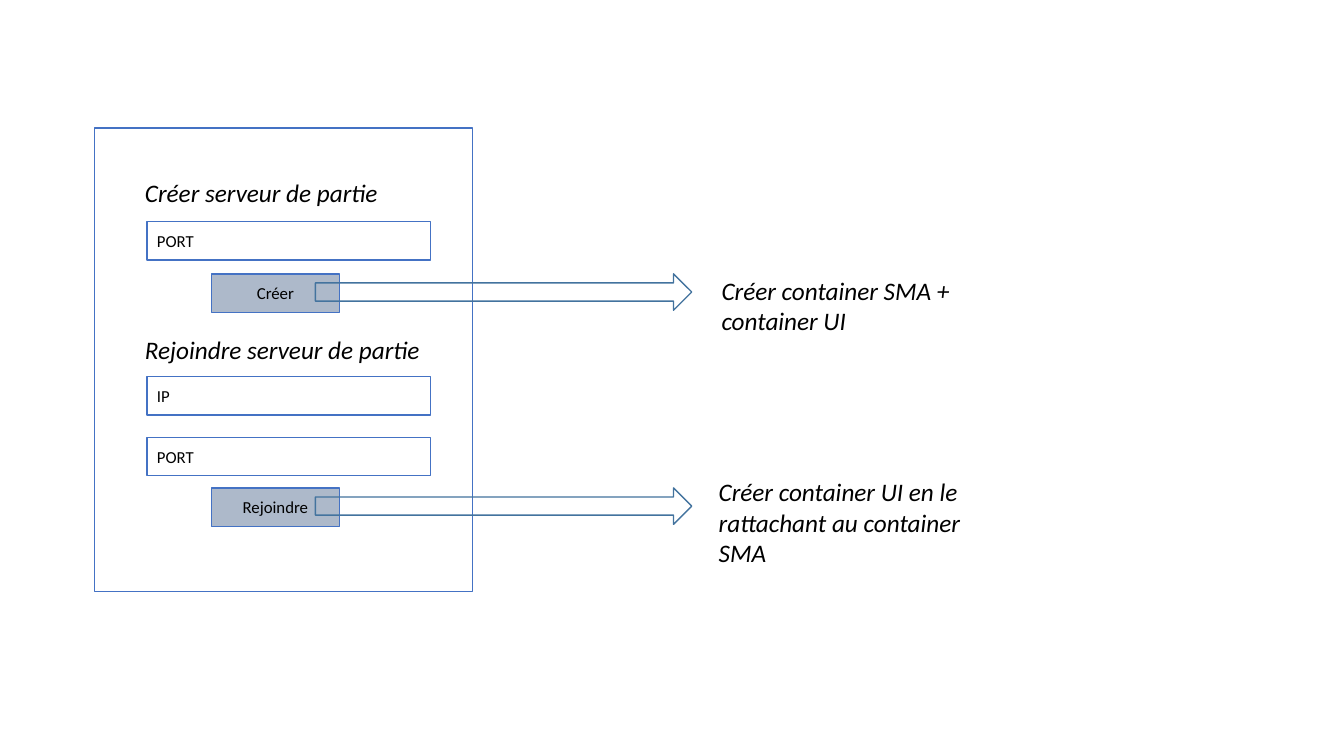
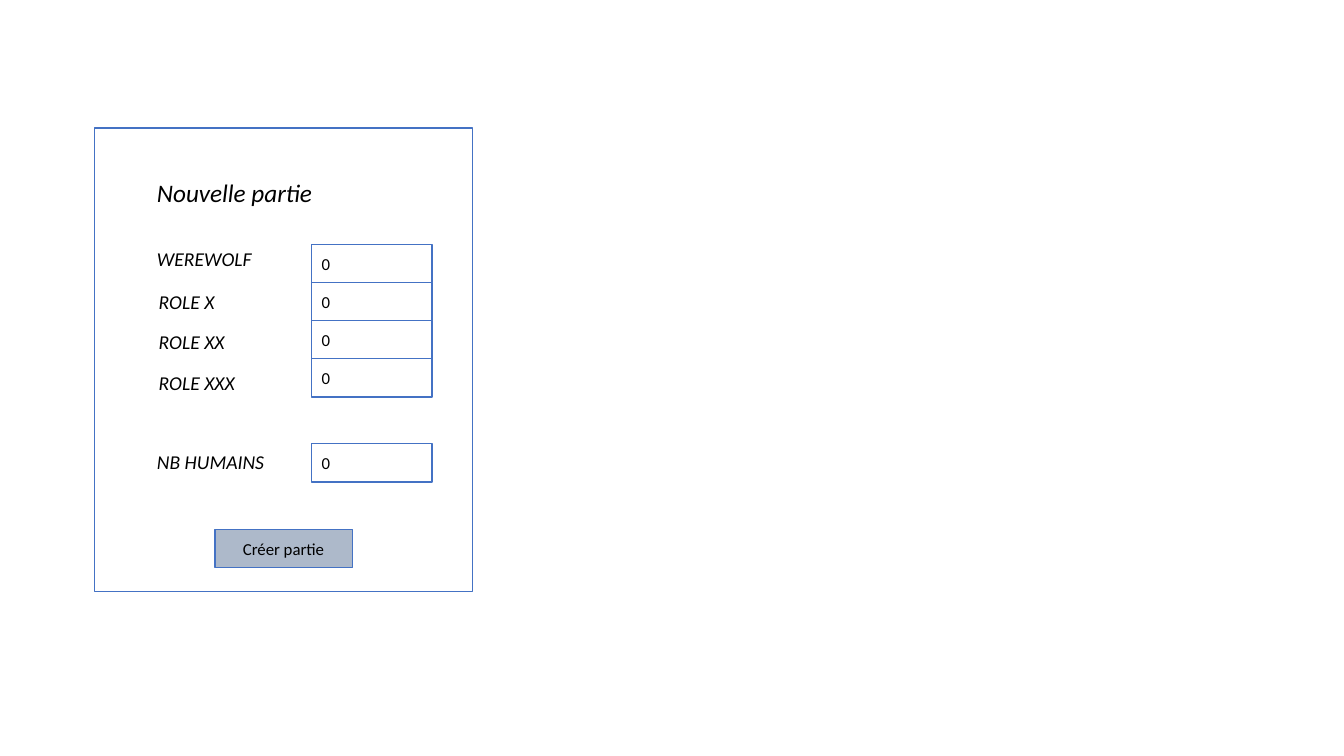
import pptx
import pptx.util
import pptx.dml.color
import pptx.enum.shapes
import pptx.enum.text

Pt = pptx.util.Pt
RGBColor = pptx.dml.color.RGBColor
SHAPE = pptx.enum.shapes.MSO_SHAPE
ALIGN = pptx.enum.text.PP_ALIGN
ANCHOR = pptx.enum.text.MSO_ANCHOR
AUTO_SIZE = pptx.enum.text.MSO_AUTO_SIZE

WHITE = RGBColor(0xFF, 0xFF, 0xFF)
BLACK = RGBColor(0, 0, 0)
BLUE = RGBColor(0x44, 0x72, 0xC4)
STEEL = RGBColor(0x43, 0x73, 0x9E)
GREY = RGBColor(0xAD, 0xB9, 0xCA)

CONTROL_HEIGHT = 27.4
TITLE_TOP = 123.1


class Mockup:
    """Draws the screens of the game, one per slide."""

    control_font = {"name": "Calibri", "size": Pt(12), "italic": False}
    heading_font = {"name": "Calibri", "size": Pt(18), "italic": True}
    label_font = {"name": "Calibri", "size": Pt(14), "italic": True}

    def __init__(self):
        self.deck = pptx.Presentation()
        self.deck.slide_width, self.deck.slide_height = Pt(960), Pt(540)
        self.page = None

    def new_screen(self):
        """Adds a slide with the empty window on it."""
        self.page = self.deck.slides.add_slide(self.deck.slide_layouts[6])
        self.box(67.7, 91.5, 270, 331.2, WHITE)

    def fill_text(self, shape, text, font_format, align=ALIGN.LEFT):
        para = shape.text_frame.paragraphs[0]
        para.alignment = align
        span = para.add_run()
        span.text = text
        for key, value in font_format.items():
            setattr(span.font, key, value)
        span.font.color.rgb = BLACK

    def outline(self, kind, left, top, width, height, color):
        shape = self.page.shapes.add_shape(
            kind, Pt(left), Pt(top), Pt(width), Pt(height))
        shape.shadow.inherit = False
        shape.line.color.rgb = color
        shape.line.width = Pt(1)
        return shape

    def box(self, left, top, width, height, fill):
        shape = self.outline(
            SHAPE.ROUNDED_RECTANGLE, left, top, width, height, BLUE)
        shape.adjustments[0] = 0
        shape.fill.solid()
        shape.fill.fore_color.rgb = fill
        shape.text_frame.vertical_anchor = ANCHOR.MIDDLE
        return shape

    def field(self, left, top, width, text):
        shape = self.box(left, top, width, CONTROL_HEIGHT, WHITE)
        self.fill_text(shape, text, self.control_font)

    def button(self, left, top, width, text):
        shape = self.box(left, top, width, CONTROL_HEIGHT, GREY)
        self.fill_text(shape, text, self.control_font, ALIGN.CENTER)

    def arrow(self, left, top, width):
        shape = self.outline(SHAPE.RIGHT_ARROW, left, top, width, 26, STEEL)
        shape.fill.background()

    def text(self, left, top, width, height, text, font_format):
        shape = self.page.shapes.add_textbox(
            Pt(left), Pt(top), Pt(width), Pt(height))
        shape.text_frame.word_wrap = True
        shape.text_frame.auto_size = AUTO_SIZE.SHAPE_TO_FIT_TEXT
        self.fill_text(shape, text, font_format)

    def heading(self, left, top, text, height=29):
        self.text(left, top, 219, height, text, self.heading_font)

    def label(self, left, top, text):
        self.text(left, top, 118, 24.2, text, self.label_font)


def draw_server_screen(mockup):
    mockup.new_screen()
    for top, text in ((TITLE_TOP, "Créer serveur de partie"),
                      (235.4, "Rejoindre serveur de partie")):
        mockup.heading(96.5, top, text)
    for top, text in ((158.4, "PORT"), (269, "IP"), (312.4, "PORT")):
        mockup.field(105, top, 202.5, text)
    actions = (
        (195.6, "Créer", 508.3, 193, 51,
         "Créer container SMA + container UI"),
        (348.5, "Rejoindre", 506.3, 337, 72.7,
         "Créer container UI en le rattachant au container SMA"),
    )
    for top, text, note_left, note_top, note_height, note in actions:
        mockup.button(151, top, 91.5, text)
        mockup.arrow(225.3, top, 268.8)
        mockup.heading(note_left, note_top, note, note_height)


def draw_game_screen(mockup):
    mockup.new_screen()
    mockup.heading(105, TITLE_TOP, "Nouvelle partie")
    field_tops = [174.5 + 27.2 * row for row in range(4)] + [316.8]
    for top in field_tops:
        mockup.field(222.7, top, 86, "0")
    labels = (
        (105, 172.8, "WEREWOLF"),
        (106.3, 203.6, "ROLE X"),
        (106.3, 232.4, "ROLE XX"),
        (106.3, 261.4, "ROLE XXX"),
        (105, 317.8, "NB HUMAINS"),
    )
    for left, top, text in labels:
        mockup.label(left, top, text)
    mockup.button(153.5, 378, 98.2, "Créer partie")


def main():
    mockup = Mockup()
    draw_server_screen(mockup)
    draw_game_screen(mockup)
    mockup.deck.save("out.pptx")


if __name__ == "__main__":
    main()
